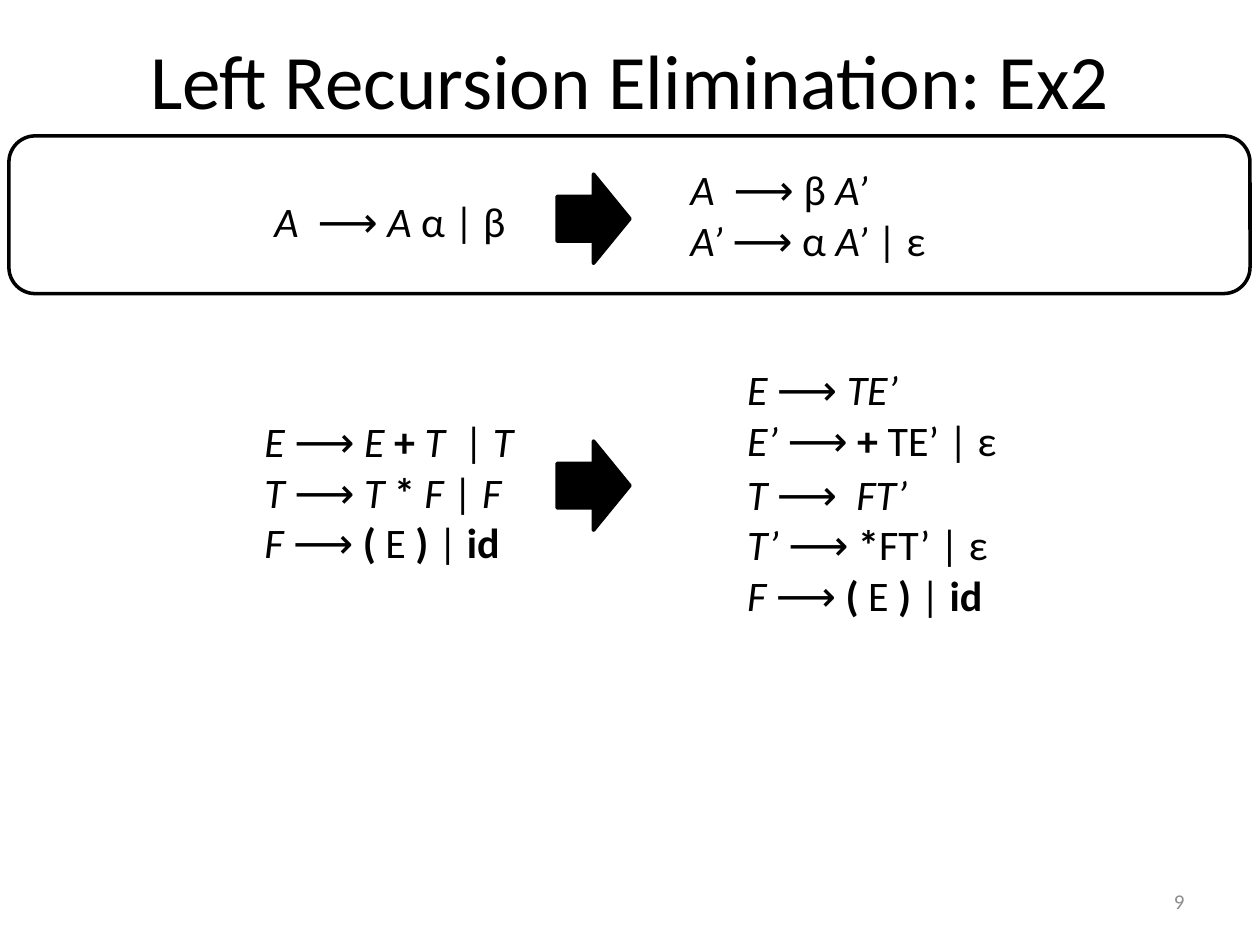
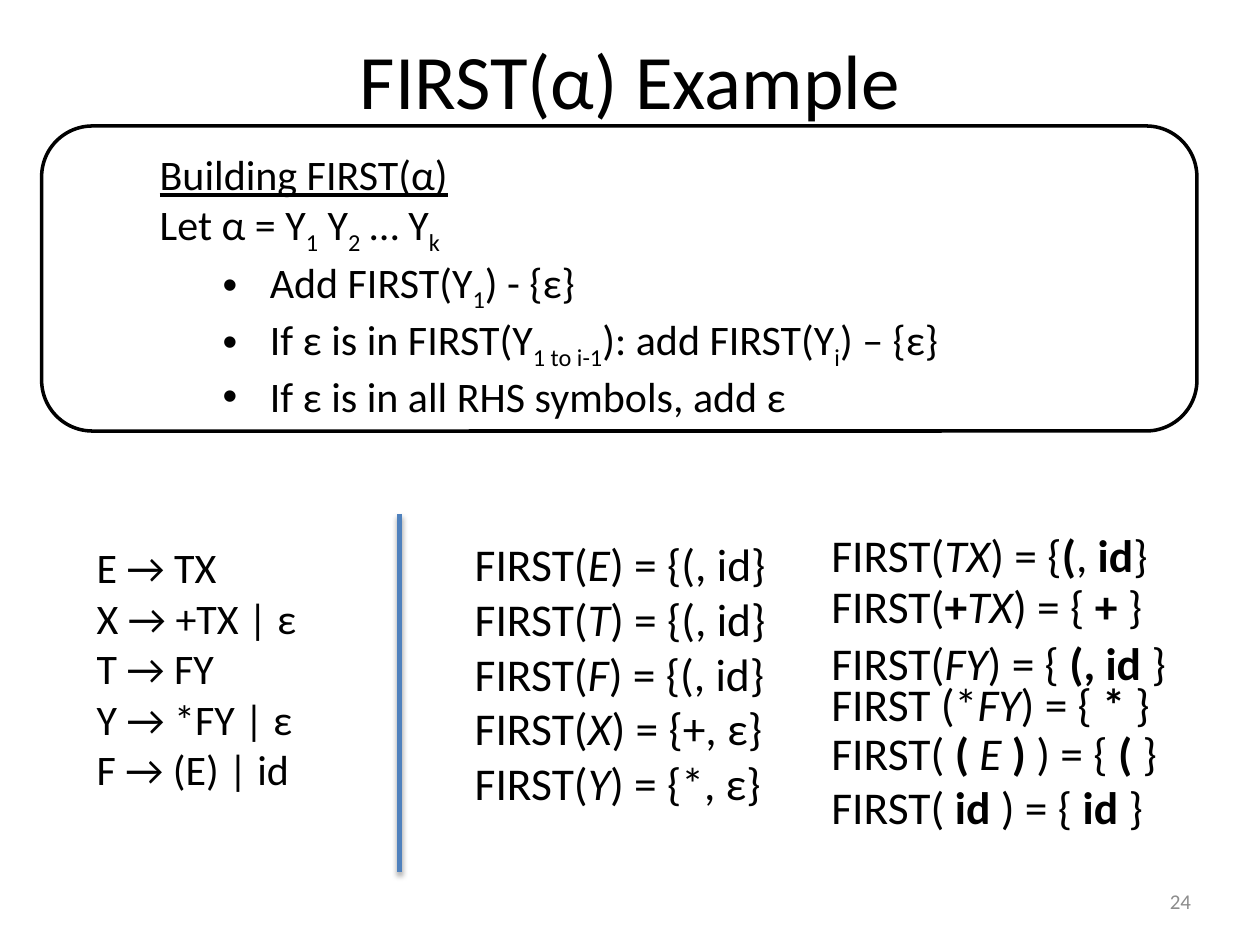
import pptx
import pptx.util
import pptx.dml.color
import pptx.enum.shapes
import pptx.enum.text
import lxml.etree

Cm, Pt = pptx.util.Cm, pptx.util.Pt
SHAPE = pptx.enum.shapes.MSO_SHAPE
ALIGN = pptx.enum.text.PP_ALIGN
ANCHOR = pptx.enum.text.MSO_ANCHOR
NAMESPACE = "http://schemas.openxmlformats.org/drawingml/2006/main"

# Shared look
FONT = "Calibri"
BLACK, WHITE, GREY, BLUE = "000000", "FFFFFF", "8C8C8C", "4F81BD"
SLIDE_WIDTH, SLIDE_HEIGHT = 25.4, 19.05

# Content: a paragraph is a list of runs, a run is plain text or (text, style)
# Styles: i italic, b bold, u underlined, s subscript
FACTOR_RULE = [("F ", "i"), "⟶ ", ("(", "b"), " E ", (")", "b"), " | ", ("id", "b")]

# Each block: left, top, width, height, paragraphs
RECURSION_BLOCKS = [
    (5.28, 3.81, 5.35, 1.27, [[("A", "i"), "  ⟶ ", ("A ", "i"), "α | β"]]),
    (13.67, 3.18, 6.02, 2.31, [
        [("A", "i"), "  ⟶ β ", ("A’", "i")],
        [("A’ ", "i"), "⟶ α ", ("A’ ", "i"), "| ε "],
    ]),
    (5.08, 8.26, 6.15, 3.33, [
        [("E", "i"), " ⟶ ", ("E ", "i"), ("+", "b"), (" T  ", "i"), "|", (" T", "i")],
        [("T ", "i"), "⟶ ", ("T ", "i"), ("* ", "b"), ("F", "i"), " | ", ("F", "i")],
        FACTOR_RULE,
    ]),
    (14.81, 7.21, 6.15, 2.31, [
        [("E", "i"), " ⟶ ", ("TE’", "i")],
        [("E’ ", "i"), "⟶ ", ("+", "b"), " TE’ | ε "],
    ]),
    (14.81, 9.32, 6.78, 3.33, [
        [("T ", "i"), "⟶  ", ("FT’", "i")],
        [("T’ ", "i"), "⟶ ", ("*", "b"), "FT’ | ε"],
        FACTOR_RULE,
    ]),
]
ARROW_TOPS = [3.51, 8.89]

BUILDING_STEPS = [
    [("Building FIRST(α)", "u")],
    ["Let α = Y", ("1", "s"), " Y", ("2", "s"), " … Y", ("k", "s")],
    ["Add FIRST(Y", ("1", "s"), ") - {ε}"],
    ["If ε is in FIRST(Y", ("1 to i-1", "s"), "): add FIRST(Y", ("i", "s"), ") – {ε}"],
    ["If ε is in all RHS symbols, add ε"],
]
GRAMMAR = ["E → TX", "X → +TX | ε", "T → FY", "Y → *FY | ε", "F → (E) | id"]
SYMBOL_SETS = [("E", "(, id"), ("T", "(, id"), ("F", "(, id"), ("X", "+, ε"), ("Y", "*, ε")]
# Top of each line, then its runs
STRING_SETS = [
    (10.49, ["FIRST(", ("TX", "i"), ") = {", ("(", "b"), ", ", ("id", "b"), "}"]),
    (11.53, ["FIRST(", ("+", "b"), ("TX", "i"), ") = { ", ("+ ", "b"), "}"]),
    (12.67, ["FIRST(", ("FY", "i"), ") = { ", ("(, id", "b"), " }"]),
    (13.51, ["FIRST (*", ("FY", "i"), ") = { ", ("*", "b"), " }"]),
    (14.5, ["FIRST( ", ("( ", "b"), ("E ", "i"), (")", "b"), " ) = { ", ("( ", "b"), "}"]),
    (15.57, ["FIRST( ", ("id", "b"), " ) = { ", ("id", "b"), " }"]),
]


def color(code):
    return pptx.dml.color.RGBColor.from_string(code)


def add_xml(parent, tag, **attributes):
    return lxml.etree.SubElement(parent, f"{{{NAMESPACE}}}{tag}", attributes)


def add_runs(para, runs, size, ink=BLACK):
    for run in runs:
        text, style = (run, "") if isinstance(run, str) else run
        span = para.add_run()
        span.text = text
        font = span.font
        font.name, font.size = FONT, Pt(size)
        font.color.rgb = color(ink)
        font.italic, font.bold, font.underline = ("i" in style, "b" in style, "u" in style)
        if "s" in style:
            span._r.get_or_add_rPr().set("baseline", "-25000")


def add_text(page, left, top, width, height, paragraphs, size=24, ink=BLACK):
    box = page.shapes.add_textbox(Cm(left), Cm(top), Cm(width), Cm(height))
    box.text_frame.word_wrap = True
    for index, runs in enumerate(paragraphs):
        para = box.text_frame.add_paragraph() if index else box.text_frame.paragraphs[0]
        add_runs(para, runs, size, ink)
    return box


def add_bullet(para):
    para.level = 1
    properties = para._p.get_or_add_pPr()
    properties.set("marL", str(Cm(2.22)))
    properties.set("indent", str(-Cm(0.95)))
    add_xml(properties, "buFont", typeface="Arial")
    add_xml(properties, "buChar", char="•")


def add_outlined(page, kind, left, top, width, height, fill):
    shape = page.shapes.add_shape(kind, Cm(left), Cm(top), Cm(width), Cm(height))
    shape.shadow.inherit = False
    shape.fill.solid()
    shape.fill.fore_color.rgb = color(fill)
    shape.line.color.rgb = color(BLACK)
    shape.line.width = Pt(2)


def add_page(deck, title, title_width, number, number_left, frame):
    """Add a page with its centred title, framed band and page number."""
    page = deck.slides.add_slide(deck.slide_layouts[5])
    holder = page.shapes.title
    holder.left, holder.top = Cm((SLIDE_WIDTH - title_width) / 2), Cm(0)
    holder.width, holder.height = Cm(title_width), Cm(3.18)
    holder.text_frame.vertical_anchor = ANCHOR.MIDDLE
    para = holder.text_frame.paragraphs[0]
    para.alignment = ALIGN.CENTER
    add_runs(para, [title], 44)
    add_outlined(page, SHAPE.ROUNDED_RECTANGLE, *frame, WHITE)
    box = add_text(page, number_left, 17.65, 5.92, 1.02, [[number]], 12, GREY)
    box.text_frame.vertical_anchor = ANCHOR.MIDDLE
    box.text_frame.paragraphs[0].alignment = ALIGN.RIGHT
    return page


deck = pptx.Presentation()
deck.slide_width, deck.slide_height = Cm(SLIDE_WIDTH), Cm(SLIDE_HEIGHT)

# Left recursion slide
page = add_page(deck, "Left Recursion Elimination: Ex2", 23.7, "9", 18.21,
                (0.18, 2.74, 25.02, 3.18))
for block in RECURSION_BLOCKS:
    add_text(page, *block)
for top in ARROW_TOPS:
    add_outlined(page, SHAPE.RIGHT_ARROW, 11.23, top, 1.47, 1.8, BLACK)

# FIRST sets slide
page = add_page(deck, "FIRST(α) Example", 22.86, "24", 18.34,
                (0.84, 2.54, 23.29, 6.15))
steps = add_text(page, 2.97, 2.87, 19.63, 5.38, BUILDING_STEPS)
for para in steps.text_frame.paragraphs[2:]:
    add_bullet(para)
add_text(page, 1.7, 10.8, 6.35, 5.38, [[rule] for rule in GRAMMAR])
add_text(page, 9.32, 10.69, 6.78, 5.82,
         [["FIRST(", (symbol, "i"), f") = {{{members}}}"] for symbol, members in SYMBOL_SETS], 26)
for top, runs in STRING_SETS:
    add_text(page, 16.51, top, 8, 1.37, [runs], 26)

# Divider with a soft shadow
divider = page.shapes.add_connector(pptx.enum.shapes.MSO_CONNECTOR.STRAIGHT,
                                    Cm(8.05), Cm(10.36), Cm(8.05), Cm(17.58))
divider.line.color.rgb = color(BLUE)
divider.line.width = Pt(3)
effects = add_xml(divider._element.spPr, "effectLst")
shadow = add_xml(effects, "outerShdw", blurRad=str(Pt(3.1)), dist=str(Pt(1.8)),
                 dir="5400000", rotWithShape="0")
add_xml(add_xml(shadow, "srgbClr", val=BLACK), "alpha", val="35000")

deck.save("out.pptx")
